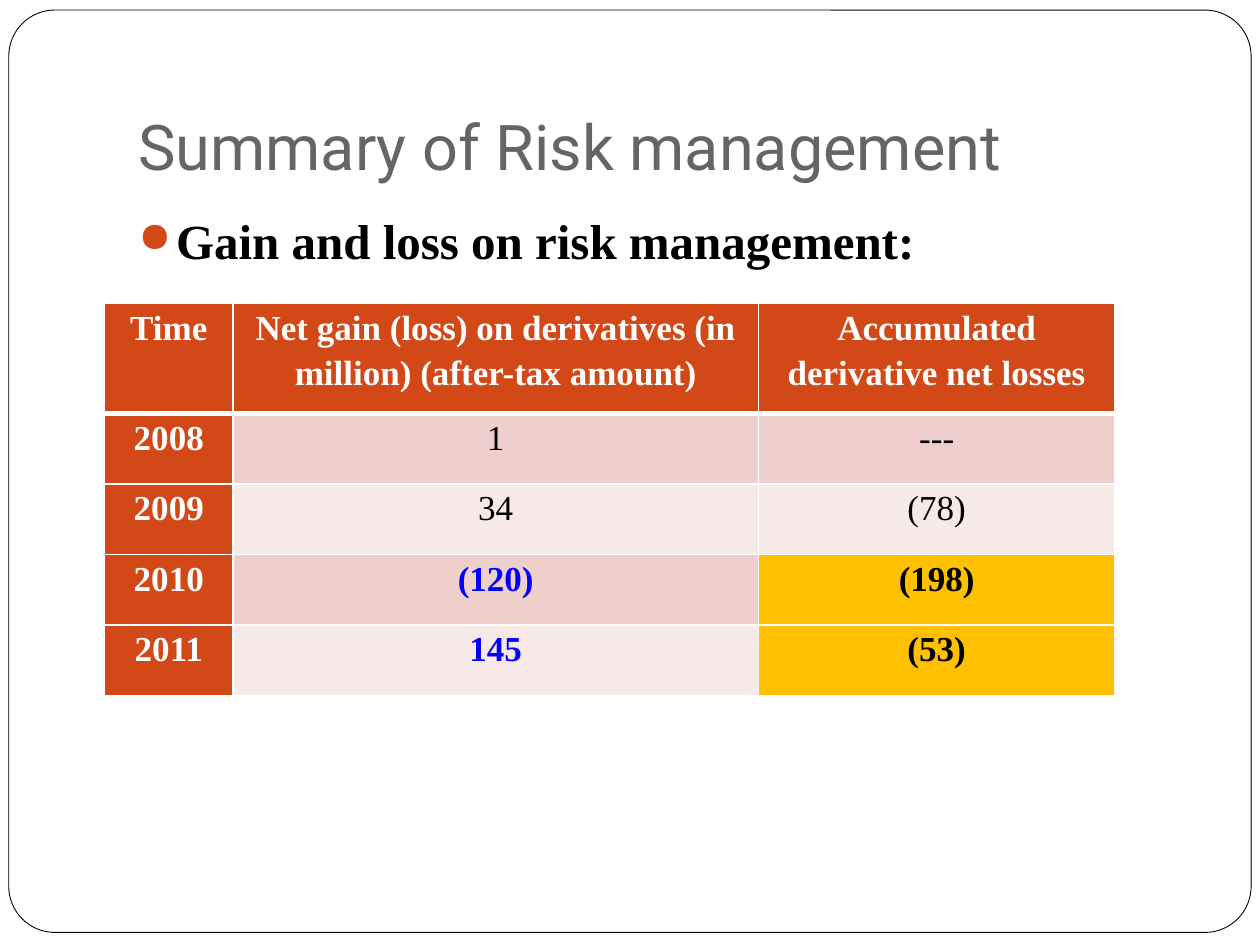
import pptx
import pptx.util
import pptx.dml.color
import pptx.enum.shapes
import pptx.enum.text
import pptx.oxml
import pptx.oxml.ns
import lxml.etree

Inches = pptx.util.Inches
Pt = pptx.util.Pt
Align = pptx.enum.text.PP_ALIGN
Anchor = pptx.enum.text.MSO_ANCHOR


def color(code):
    return pptx.dml.color.RGBColor.from_string(code)


def add(parent, tag, **attrs):
    return lxml.etree.SubElement(parent, pptx.oxml.ns.qn(tag), attrs)


class Deck:
    serif = "Times New Roman"
    sans = "Roboto"
    accent = "D34817"
    white = "FFFFFF"
    black = "000000"
    gray = "696464"
    blue = "0000FF"
    gold = "FFC000"
    bands = ("EFCFCC", "F7E9E8")

    def __init__(self):
        self.file = pptx.Presentation()
        self.file.slide_width = Inches(10)
        self.file.slide_height = Inches(7.5)
        self.slide = self.file.slides.add_slide(self.file.slide_layouts[6])

    def style(self, par, size, face, code, bold=False):
        par.font.size = Pt(size)
        par.font.name = face
        par.font.bold = bold
        par.font.color.rgb = color(code)

    def frame(self, left, top, width, height):
        kind = pptx.enum.shapes.MSO_SHAPE.ROUNDED_RECTANGLE
        shape = self.slide.shapes.add_shape(
            kind, Inches(left), Inches(top), Inches(width), Inches(height))
        shape.adjustments[0] = 0.05
        shape.shadow.inherit = False
        shape.fill.solid()
        shape.fill.fore_color.rgb = color(self.white)
        shape.line.color.rgb = color(self.black)
        shape.line.width = Pt(0.5)

    def box(self, text, left, top, width, height, anchor):
        shape = self.slide.shapes.add_textbox(
            Inches(left), Inches(top), Inches(width), Inches(height))
        body = shape.text_frame
        body.word_wrap = True
        body.vertical_anchor = anchor
        body.text = text
        return body

    def title(self, text, *place):
        body = self.box(text, *place, Anchor.BOTTOM)
        body.margin_bottom = Inches(0.1)
        self.style(body.paragraphs[0], 36, self.sans, self.gray)

    def bullet(self, text, *place):
        body = self.box(text, *place, Anchor.TOP)
        body.margin_top = Inches(0.09)
        par = body.paragraphs[0]
        props = par._p.get_or_add_pPr()
        props.set("marL", str(Inches(0.3)))
        props.set("indent", str(-Inches(0.3)))
        add(add(props, "a:buClr"), "a:srgbClr", val=self.accent)
        add(props, "a:buSzPct", val="85000")
        add(props, "a:buChar", char="●")
        self.style(par, 28, self.serif, self.black, True)

    def edges(self, cell, head):
        props = cell._tc.get_or_add_tcPr()
        for side in "LRTB":
            width = 3 if head and side == "B" else 1
            line = add(props, f"a:ln{side}", w=str(Pt(width)))
            add(add(line, "a:solidFill"), "a:srgbClr", val=self.white)

    def cell(self, cell, text, fill, code, bold, head):
        self.edges(cell, head)
        cell.fill.solid()
        cell.fill.fore_color.rgb = color(fill)
        cell.margin_left = cell.margin_right = Inches(0.07)
        cell.margin_top = cell.margin_bottom = 0
        cell.text = text
        par = cell.text_frame.paragraphs[0]
        par.alignment = Align.CENTER
        par.line_spacing = 1.15
        self.style(par, 20, self.serif, code, bold)

    def look(self, row, col):
        if row == 0 or col == 0:
            return self.accent, self.white, True
        band = self.bands[(row - 1) % 2]
        if row < 3:
            return band, self.black, False
        if col == 1:
            return band, self.blue, True
        return self.gold, self.black, True

    def table(self, rows, left, top, widths, heights):
        grid = self.slide.shapes.add_table(
            len(rows), len(widths), Inches(left), Inches(top),
            Inches(sum(widths)), Inches(sum(heights))).table
        for col, width in zip(grid.columns, widths):
            col.width = Inches(width)
        for r, (row, height) in enumerate(zip(rows, heights)):
            grid.rows[r].height = Inches(height)
            for c, text in enumerate(row):
                self.cell(grid.cell(r, c), text, *self.look(r, c), r == 0)


def main():
    deck = Deck()
    deck.frame(0.07, 0.08, 9.86, 7.32)
    deck.title("Summary of Risk management", 1, 0.3, 8.5, 1.25)
    deck.bullet("Gain and loss on risk management:", 1, 1.58, 8.5, 5)
    rows = [
        ("Time",
         "Net gain (loss) on derivatives (in million) (after-tax amount)",
         "Accumulated derivative net losses"),
        ("2008", "1", "---"),
        ("2009", "34", "(78)"),
        ("2010", "(120)", "(198)"),
        ("2011", "145", "(53)"),
    ]
    deck.table(rows, 0.83, 2.41, [1.02, 4.17, 2.83], [0.87] + [0.56] * 4)
    deck.file.save("out.pptx")


if __name__ == "__main__":
    main()
